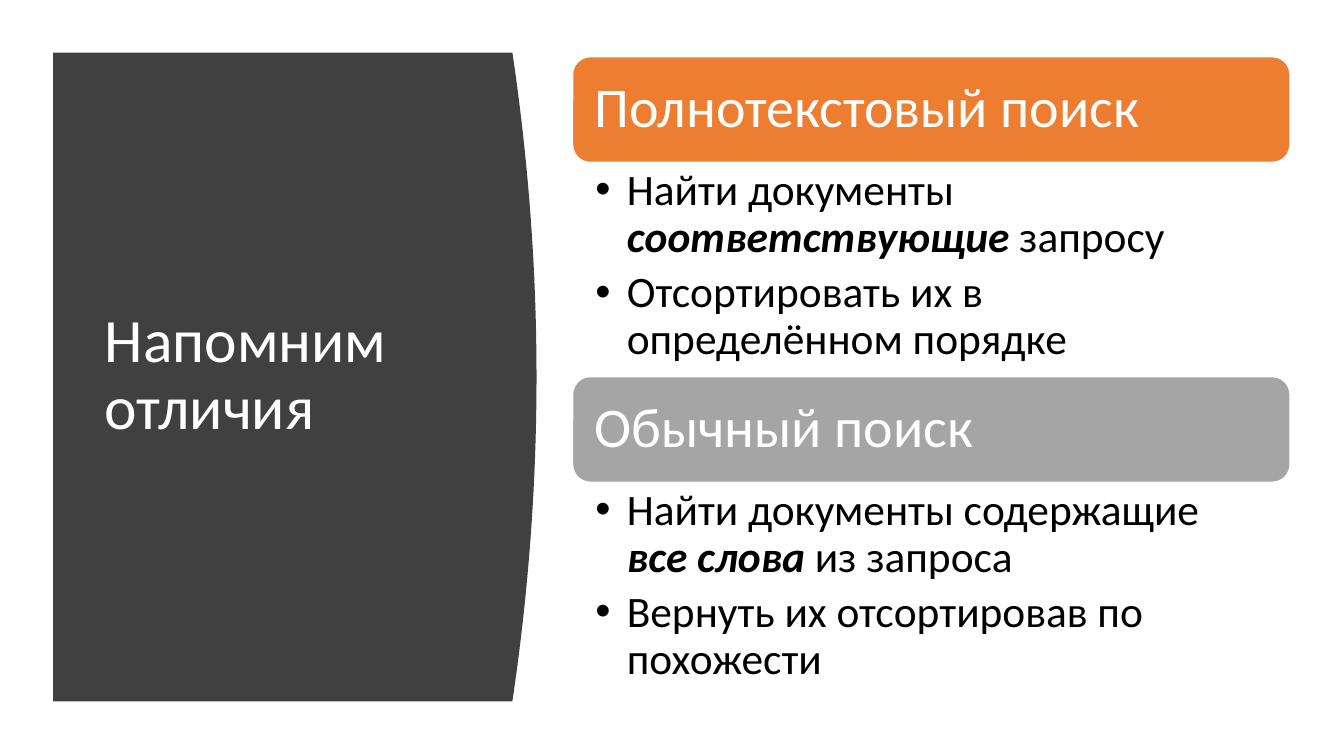
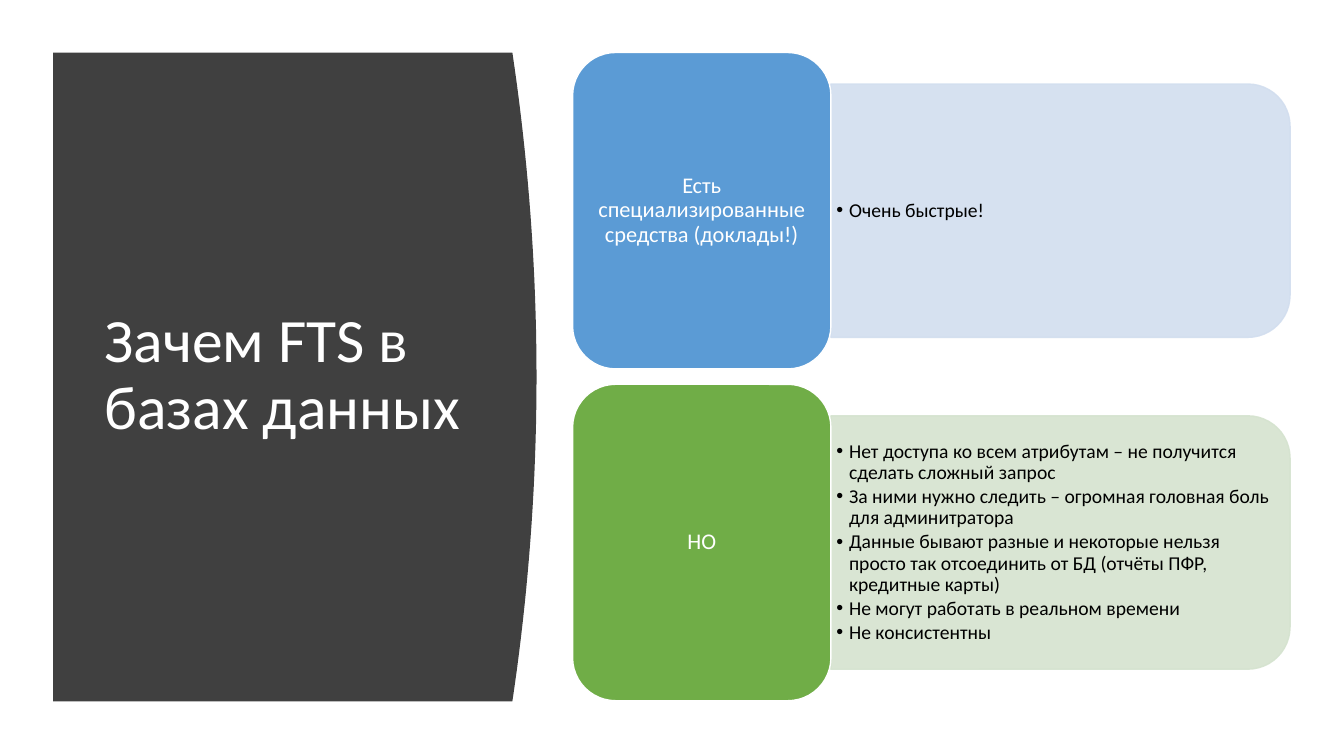
from dataclasses import dataclass

from lxml.etree import SubElement
from pptx import Presentation
from pptx.dml.color import RGBColor
from pptx.enum.shapes import MSO_SHAPE
from pptx.enum.text import MSO_ANCHOR, PP_ALIGN
from pptx.oxml.ns import qn
from pptx.util import Pt


@dataclass(frozen=True)
class Theme:
    font: str = "Calibri"
    title_size: float = 44
    heading_size: float = 40
    body_size: float = 31
    card_size: float = 16
    detail_size: float = 14
    dark: str = "404040"
    white: str = "FFFFFF"
    black: str = "000000"
    orange: str = "ED7D31"
    gray: str = "A5A5A5"
    blue: str = "5B9BD5"
    pale_blue: str = "D2DEEF"
    green: str = "70AD47"
    pale_green: str = "D5E3CF"


THEME = Theme()
CONTENT_LEFT = 409
CONTENT_WIDTH = 512.5


def rgb(color):
    return RGBColor.from_string(color)


def write(shape, paragraphs, *, size, color, anchor=MSO_ANCHOR.MIDDLE,
          align=PP_ALIGN.LEFT, insets=(0, 0, 0, 0), bullet_indent=0, space_after=0):
    """Fill a shape with paragraphs; text between asterisks is bold italic."""
    frame = shape.text_frame
    frame.word_wrap = True
    frame.vertical_anchor = anchor
    (frame.margin_left, frame.margin_top,
     frame.margin_right, frame.margin_bottom) = map(Pt, insets)
    for index, content in enumerate(paragraphs):
        paragraph = frame.add_paragraph() if index else frame.paragraphs[0]
        paragraph.alignment = align
        paragraph.line_spacing = 0.9
        paragraph.space_after = Pt(space_after)
        if bullet_indent:
            add_bullet(paragraph, bullet_indent)
        for position, part in enumerate(content.split("*")):
            run = paragraph.add_run()
            run.text = part
            run.font.name = THEME.font
            run.font.size = Pt(size)
            run.font.color.rgb = rgb(color)
            run.font.bold = run.font.italic = position % 2 == 1


def add_bullet(paragraph, indent):
    properties = paragraph._p.get_or_add_pPr()
    properties.set("marL", str(Pt(indent)))
    properties.set("indent", str(-Pt(indent)))
    SubElement(properties, qn("a:buFont"), typeface="Arial")
    SubElement(properties, qn("a:buChar"), char="•")


def add_text(slide, left, top, width, height, paragraphs, **text_format):
    box = slide.shapes.add_textbox(Pt(left), Pt(top), Pt(width), Pt(height))
    write(box, paragraphs, **text_format)


def add_block(slide, preset, left, top, width, height, fill, line):
    block = slide.shapes.add_shape(preset, Pt(left), Pt(top), Pt(width), Pt(height))
    block.shadow.inherit = False
    block.fill.solid()
    block.fill.fore_color.rgb = rgb(fill)
    block.line.color.rgb = rgb(line)
    block.line.width = Pt(1)
    return block


def add_title_panel(slide, title):
    """Draw the dark panel with a bulging right edge and its title."""
    left, top, bottom, corner, bulge, steps = 38, 37.5, 501, 366, 17.25, 40
    edge = []
    for step in range(steps + 1):
        share = step / steps
        x = corner + bulge * (1 - (2 * share - 1) ** 2)
        edge.append((Pt(x), Pt(top + share * (bottom - top))))
    outline = slide.shapes.build_freeform(Pt(left), Pt(top))
    outline.add_line_segments(edge + [(Pt(left), Pt(bottom))], close=True)
    panel = outline.convert_to_shape()
    panel.shadow.inherit = False
    panel.fill.solid()
    panel.fill.fore_color.rgb = rgb(THEME.dark)
    panel.line.fill.background()
    add_text(slide, 67.75, 80, 269, 377, [title], size=THEME.title_size,
             color=THEME.white, insets=(7.2, 3.6, 7.2, 3.6))


def add_section(slide, top, color, heading, points):
    """Draw a heading bar with bullet points below it."""
    bar_height = 75.5
    bar = add_block(slide, MSO_SHAPE.ROUNDED_RECTANGLE, CONTENT_LEFT, top,
                    CONTENT_WIDTH, bar_height, color, THEME.white)
    write(bar, [heading], size=THEME.heading_size, color=THEME.white, insets=(12,) * 4)
    add_text(slide, CONTENT_LEFT, top + bar_height, CONTENT_WIDTH, 153, points,
             size=THEME.body_size, color=THEME.black, anchor=MSO_ANCHOR.TOP,
             insets=(16.25, 4, 22.5, 4), bullet_indent=22.5, space_after=6)


def add_card(slide, top, color, pale_color, heading, points):
    """Draw a card with a paler panel of bullet points to its right."""
    card_width, card_height = 184.5, 226
    panel_width, panel_height = CONTENT_WIDTH - card_width, 181
    panel_left = CONTENT_LEFT + card_width
    panel_top = top + (card_height - panel_height) / 2
    # The preset rounds its top corners, so a quarter turn rounds the right side.
    shift = (panel_width - panel_height) / 2
    panel = add_block(slide, MSO_SHAPE.ROUND_2_SAME_RECTANGLE, panel_left + shift,
                      panel_top - shift, panel_height, panel_width,
                      pale_color, pale_color)
    panel.rotation = 90
    for shade in panel._element.spPr.iter(qn("a:srgbClr")):
        SubElement(shade, qn("a:alpha"), val="90000")
    add_text(slide, panel_left, panel_top, panel_width - 8.75, panel_height, points,
             size=THEME.detail_size, color=THEME.black, insets=(4, 2, 4, 2),
             bullet_indent=9, space_after=2)
    card = add_block(slide, MSO_SHAPE.ROUNDED_RECTANGLE, CONTENT_LEFT, top,
                     card_width, card_height, color, THEME.white)
    write(card, [heading], size=THEME.card_size, color=THEME.white,
          align=PP_ALIGN.CENTER, insets=(5, 2, 5, 2))


def add_stack(slide, add_item, first_top, pitch, items):
    for index, item in enumerate(items):
        add_item(slide, first_top + index * pitch, *item)


def main():
    deck = Presentation()
    deck.slide_width, deck.slide_height = Pt(960), Pt(540)
    blank = deck.slide_layouts[6]

    differences = deck.slides.add_slide(blank)
    add_title_panel(differences, "Напомним отличия")
    add_stack(differences, add_section, 40.5, 228.5, [
        (THEME.orange, "Полнотекстовый поиск", [
            "Найти документы *соответствующие *запросу",
            "Отсортировать их в определённом порядке",
        ]),
        (THEME.gray, "Обычный поиск", [
            "Найти документы содержащие *все слова *из запроса",
            "Вернуть их отсортировав по похожести",
        ]),
    ])

    reasons = deck.slides.add_slide(blank)
    add_title_panel(reasons, "Зачем FTS в базах данных")
    add_stack(reasons, add_card, 37.5, 237, [
        (THEME.blue, THEME.pale_blue, "Есть специализированные средства (доклады!)", [
            "Очень быстрые!",
        ]),
        (THEME.green, THEME.pale_green, "НО", [
            "Нет доступа ко всем атрибутам – не получится сделать сложный запрос",
            "За ними нужно следить – огромная головная боль для админитратора",
            "Данные бывают разные и некоторые нельзя просто так отсоединить от БД "
            "(отчёты ПФР, кредитные карты)",
            "Не могут работать в реальном времени",
            "Не консистентны",
        ]),
    ])

    deck.save("out.pptx")


if __name__ == "__main__":
    main()
